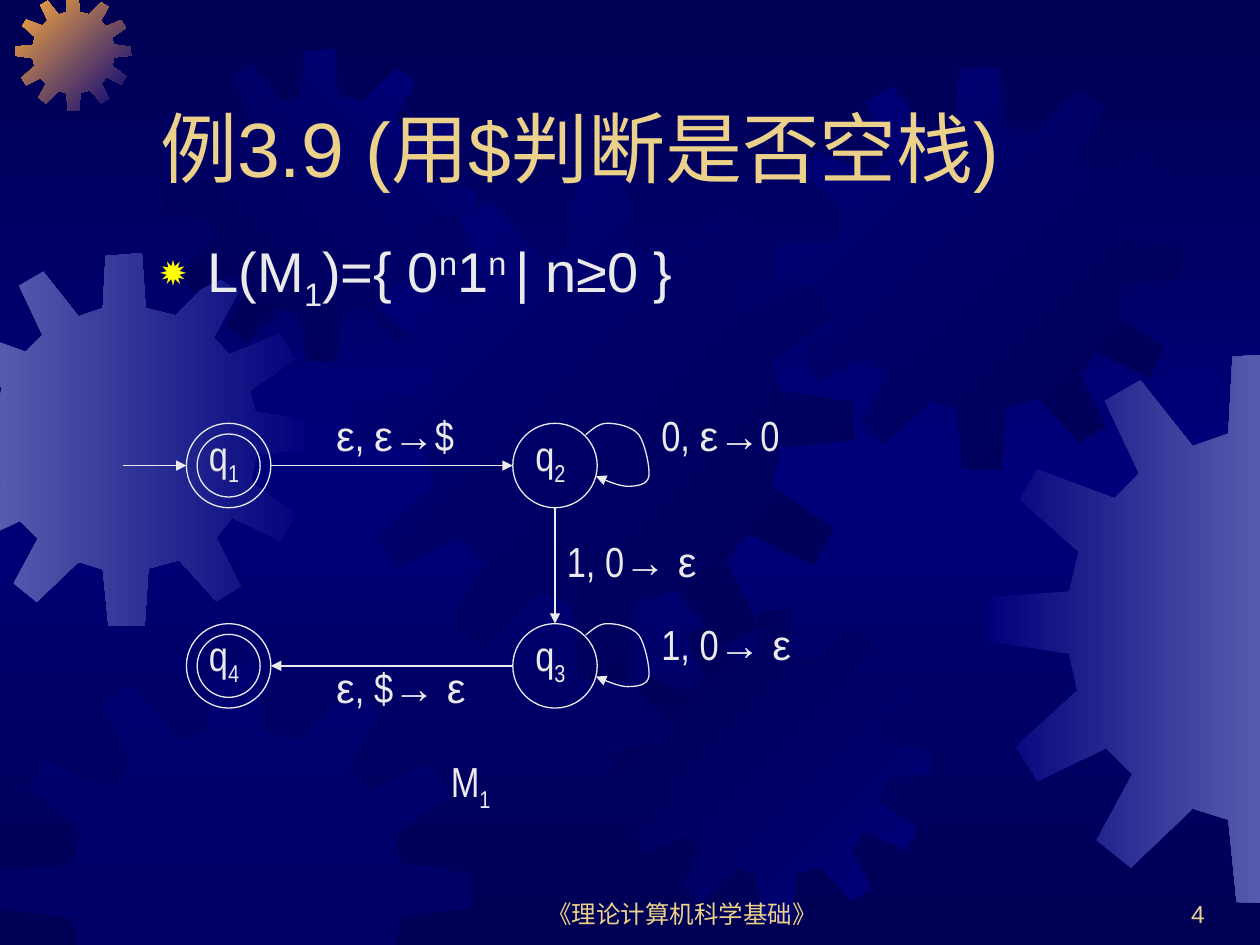
import copy
import pptx
import pptx.dml.color
import pptx.enum.shapes
import pptx.enum.text
import pptx.oxml
import pptx.oxml.ns
import pptx.util
from pptx.util import Inches

ALIGN = pptx.enum.text.PP_ALIGN
ANCHOR = pptx.enum.text.MSO_ANCHOR
WIDTH, HEIGHT = 10, 7.5
NAVY, BLUE, LILAC, ORANGE = "000054", "00007A", "555BAD", "FCAB40"
GOLD, WHITE, YELLOW = "EBD189", "EAEAEA", "FFFF00"
WIDE, NARROW = "Arial", "Arial Narrow"
DIAMETER, INNER = 0.67, 0.5
LEFT, RIGHT, TOP, BOTTOM = 1.48, 4.07, 3.36, 4.95

GEAR_SIZE = 4.01
GEAR = [
    (2.55, 0.67), (2.23, 0.59), (2.19, 0), (1.8, 0.03), (1.77, 0.59), (1.51, 0.68),
    (1.13, 0.2), (0.87, 0.35), (1.12, 0.88), (0.94, 1.06), (0.38, 0.85), (0.25, 1.07),
    (0.68, 1.45), (0.61, 1.74), (0.01, 1.78), (0, 2.1), (0.61, 2.19), (0.67, 2.46),
    (0.22, 2.87), (0.38, 3.12), (0.88, 2.88), (1.07, 3.07), (0.81, 3.55), (1.06, 3.75),
    (1.51, 3.32), (1.77, 3.4), (1.83, 4), (2.22, 4.01), (2.26, 3.39), (2.59, 3.3),
    (2.99, 3.74), (3.25, 3.58), (2.99, 3.06), (3.16, 2.84), (3.68, 3.09), (3.84, 2.81),
    (3.36, 2.46), (3.42, 2.16), (4.01, 2.1), (4, 1.8), (3.41, 1.71), (3.35, 1.48),
    (3.83, 1.14), (3.67, 0.87), (3.13, 1.09), (2.96, 0.91), (3.23, 0.41), (2.97, 0.25),
]
# left, top, size, gradient colours, gradient angle
GEARS = [
    (-0.49, 2.01, 2.96, (LILAC, BLUE), 0),
    (0.12, -0.04, 0.92, (ORANGE, BLUE), 45),
    (1.3, 0.39, 2.48, (NAVY, BLUE), 315),
    (2.77, 1.39, 4.01, (BLUE, NAVY), 45),
    (0, 5.25, 3.74, (BLUE,), 0),
    (4.91, 4.84, 2.48, (NAVY, BLUE), 45),
    (6.18, 0.53, 3.2, (BLUE, NAVY), 45),
    (7.82, 2.8, 4.37, (BLUE, LILAC), 0),
]
# Bezier points, measured from the corner of the state's box
LOOP = [
    (0.58, 0.09), (0.63, 0.05), (0.68, 0), (0.75, 0), (0.82, 0), (0.94, 0.02), (1, 0.09),
    (1.05, 0.16), (1.09, 0.35), (1.08, 0.42), (1.07, 0.49), (0.98, 0.5), (0.91, 0.5),
    (0.85, 0.5), (0.75, 0.46), (0.66, 0.42),
]
STATES = [("1", LEFT, TOP, True), ("2", RIGHT, TOP, False),
          ("4", LEFT, BOTTOM, True), ("3", RIGHT, BOTTOM, False)]
LABELS = [
    (2.57, 3.2, [("ε", WIDE), (", ", NARROW), ("ε→", WIDE), ("$", NARROW)]),
    (5.15, 3.2, [("0, ", NARROW), ("ε→", WIDE), ("0", NARROW)]),
    (4.4, 4.2, [("1, 0", NARROW), ("→ ε", WIDE)]),
    (5.15, 4.86, [("1, 0", NARROW), ("→ ε", WIDE)]),
    (2.57, 5.2, [("ε", WIDE), (", $", NARROW), ("→ ε", WIDE)]),
]


def rgb(colour):
    return pptx.dml.color.RGBColor.from_string(colour)


def add_xml(parent, tag, **attributes):
    child = pptx.oxml.parse_xml(f"<a:{tag} {pptx.oxml.ns.nsdecls('a')}/>")
    for name, value in attributes.items():
        child.set(name, value)
    parent.append(child)
    return child


def set_gradient(fill, colours, angle):
    fill.gradient()
    fill.gradient_angle = -angle % 360
    for stop, colour in zip(fill.gradient_stops, colours):
        stop.color.rgb = rgb(colour)


def set_background(s):
    set_gradient(s.background.fill, (NAVY, BLUE), 90)
    stops = next(s.element.iter(pptx.oxml.ns.qn("a:gsLst")))
    stops[1].set("pos", "50000")
    last = copy.deepcopy(stops[0])
    last.set("pos", "100000")
    stops.append(last)


def clip(points, axis, limit, sign):
    """Keep the part of a polygon where sign * coordinate <= sign * limit."""
    kept = []
    for a, b in zip(points[-1:] + points[:-1], points):
        a_in, b_in = (sign * q[axis] <= sign * limit for q in (a, b))
        if a_in != b_in:
            t = (limit - a[axis]) / (b[axis] - a[axis])
            kept.append(tuple(u + t * (v - u) for u, v in zip(a, b)))
        if b_in:
            kept.append(b)
    return kept


def add_freeform(s, points, close):
    start, *rest = [(Inches(x), Inches(y)) for x, y in points]
    builder = s.shapes.build_freeform(*start)
    builder.add_line_segments(rest, close=close)
    sp = builder.convert_to_shape()
    sp.shadow.inherit = False
    return sp


def add_gear(s, left, top, size, colours, angle):
    k = size / GEAR_SIZE
    points = [(left + k * x, top + k * y) for x, y in GEAR]
    for axis, limit, sign in ((0, 0, -1), (0, WIDTH, 1), (1, 0, -1), (1, HEIGHT, 1)):
        points = clip(points, axis, limit, sign)
    sp = add_freeform(s, points, True)
    sp.line.fill.background()
    if len(colours) == 2:
        set_gradient(sp.fill, colours, angle)
    else:
        sp.fill.solid()
        sp.fill.fore_color.rgb = rgb(colours[0])
        colour = next(sp.element.spPr.iter(pptx.oxml.ns.qn("a:srgbClr")))
        add_xml(colour, "alpha", val="50000")


def style_line(sp, arrow=False):
    sp.line.color.rgb = rgb(WHITE)
    sp.line.width = pptx.util.Pt(0.75)
    if arrow:
        add_xml(sp.line._get_or_add_ln(), "tailEnd", type="triangle")


def add_circle(s, left, top, size):
    sp = s.shapes.add_shape(pptx.enum.shapes.MSO_SHAPE.OVAL,
                            *map(Inches, (left, top, size, size)))
    sp.shadow.inherit = False
    sp.fill.background()
    style_line(sp)


def add_arrow(s, x1, y1, x2, y2):
    sp = s.shapes.add_connector(pptx.enum.shapes.MSO_CONNECTOR.STRAIGHT,
                                *map(Inches, (x1, y1, x2, y2)))
    style_line(sp, arrow=True)
    add_xml(sp._element.spPr, "effectLst")


def add_loop(s, left, top, steps=8):
    points = [LOOP[0]]
    for i in range(0, len(LOOP) - 1, 3):
        for t in (n / steps for n in range(1, steps + 1)):
            weights = ((1 - t) ** 3, 3 * t * (1 - t) ** 2, 3 * t * t * (1 - t), t ** 3)
            points.append(tuple(sum(w * q[axis] for w, q in zip(weights, LOOP[i:i + 4]))
                                for axis in (0, 1)))
    sp = add_freeform(s, [(left + x, top + y) for x, y in points], False)
    sp.fill.background()
    style_line(sp, arrow=True)


def add_text(s, box, runs, size=24, colour=WHITE, align=ALIGN.LEFT, anchor=ANCHOR.TOP):
    """Each run is its text, its font and, if raised or lowered, a baseline in percent."""
    tf = s.shapes.add_textbox(*map(Inches, box)).text_frame
    tf.word_wrap = True
    tf.vertical_anchor = anchor
    p = tf.paragraphs[0]
    p.alignment = align
    for text, font, *baseline in runs:
        r = p.add_run()
        r.text = text
        r.font.name = font
        r.font.size = pptx.util.Pt(size)
        r.font.color.rgb = rgb(colour)
        for percent in baseline:
            r.font._element.set("baseline", str(percent * 1000))
    return p


def set_title(s, text):
    title = s.shapes.title
    s.shapes._spTree.append(title._element)  # bring in front of the gears
    title.left, title.top, title.width, title.height = map(Inches, (1.17, 0.33, 8.5, 1.25))
    tf = title.text_frame
    tf.text = text
    tf.auto_size = pptx.enum.text.MSO_AUTO_SIZE.NONE
    tf.vertical_anchor = ANCHOR.BOTTOM
    p = tf.paragraphs[0]
    p.alignment = ALIGN.LEFT
    p.font.name = WIDE
    p.font.size = pptx.util.Pt(44)
    p.font.color.rgb = rgb(GOLD)


def add_bullet(p):
    pPr = p._p.get_or_add_pPr()
    pPr.set("marL", str(Inches(0.38)))
    pPr.set("indent", str(-Inches(0.38)))
    add_xml(add_xml(pPr, "buClr"), "srgbClr", val=YELLOW)
    add_xml(pPr, "buSzPct", val="80000")
    add_xml(pPr, "buChar", char="✹")


def add_state(s, number, left, top, accepting):
    if accepting:
        gap = (DIAMETER - INNER) / 2
        add_circle(s, left + gap, top + gap, INNER)
    add_circle(s, left, top, DIAMETER)
    add_text(s, (left + 0.08, top, 0.58, 0.56), [("q", NARROW), (number, NARROW, -25)])
    if not accepting:
        add_loop(s, left, top)


def main():
    prs = pptx.Presentation()
    prs.slide_width, prs.slide_height = Inches(WIDTH), Inches(HEIGHT)
    s = prs.slides.add_slide(prs.slide_layouts[5])
    set_background(s)
    for gear in GEARS:
        add_gear(s, *gear)
    add_text(s, (3.83, 6.92, 3.17, 0.5), [("《理论计算机科学基础》", WIDE)],
             14, GOLD, ALIGN.CENTER, ANCHOR.BOTTOM)
    add_text(s, (7.58, 6.92, 2.08, 0.5), [("4", WIDE)], 14, GOLD, ALIGN.RIGHT, ANCHOR.BOTTOM)
    set_title(s, "例3.9 (用$判断是否空栈)")
    add_bullet(add_text(s, (1.17, 1.83, 8.5, 0.92), [
        ("L(M", WIDE), ("1", WIDE, -25), (")={ 0", WIDE), ("n", WIDE, 30),
        ("1", WIDE), ("n ", WIDE, 30), ("| n≥0 }", WIDE)], 32))
    for state in STATES:
        add_state(s, *state)
    radius = DIAMETER / 2
    upper, lower, middle = TOP + radius, BOTTOM + radius, RIGHT + radius
    add_arrow(s, LEFT - 0.5, upper, LEFT, upper)
    add_arrow(s, LEFT + DIAMETER, upper, RIGHT, upper)
    add_arrow(s, middle, TOP + DIAMETER, middle, BOTTOM)
    add_arrow(s, RIGHT, lower, LEFT + DIAMETER, lower)
    for left, top, runs in LABELS:
        add_text(s, (left, top, 1.25, 0.5), runs)
    add_text(s, (3.48, 5.95, 0.67, 0.56), [("M", NARROW), ("1", NARROW, -25)])
    prs.save("out.pptx")


if __name__ == "__main__":
    main()
